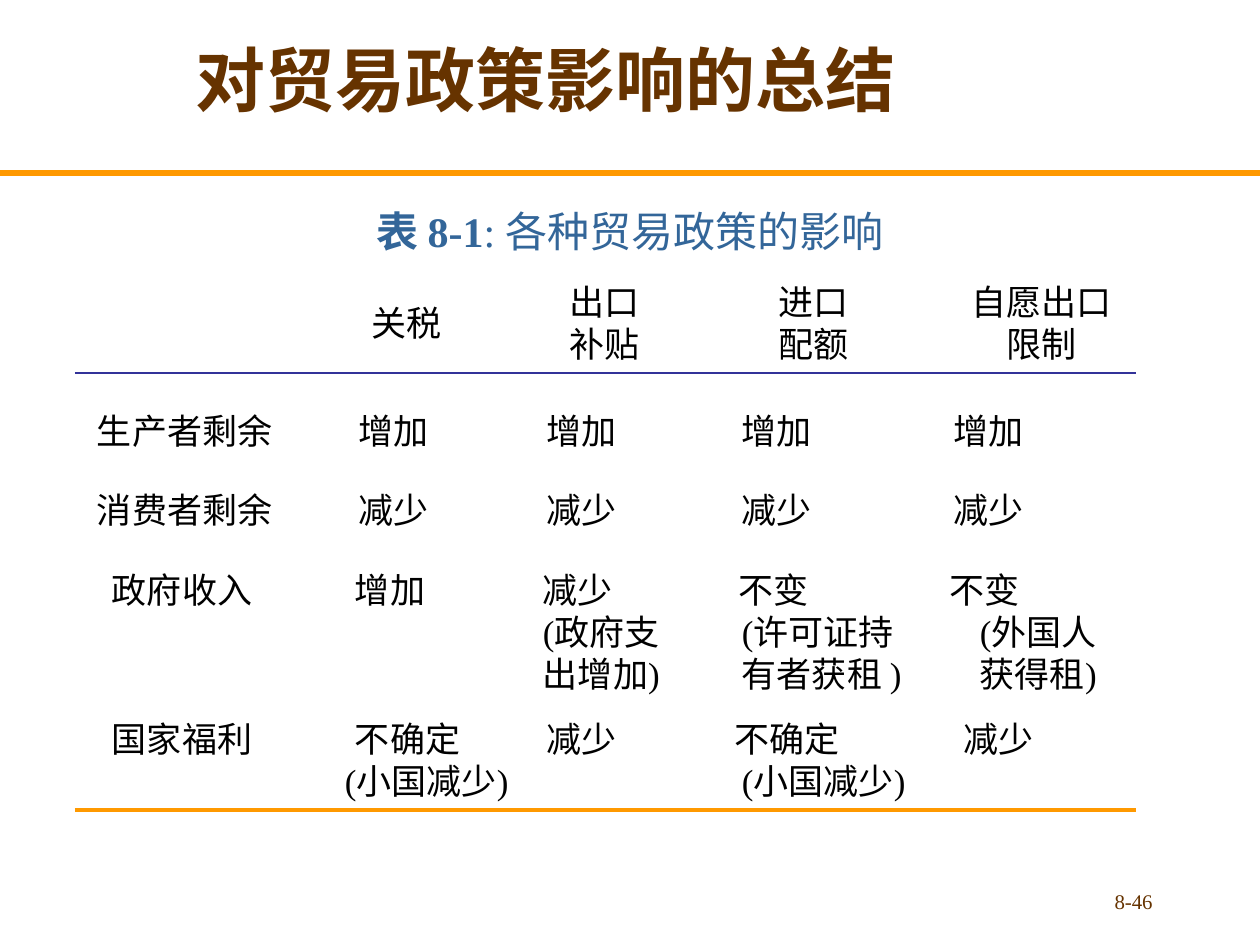
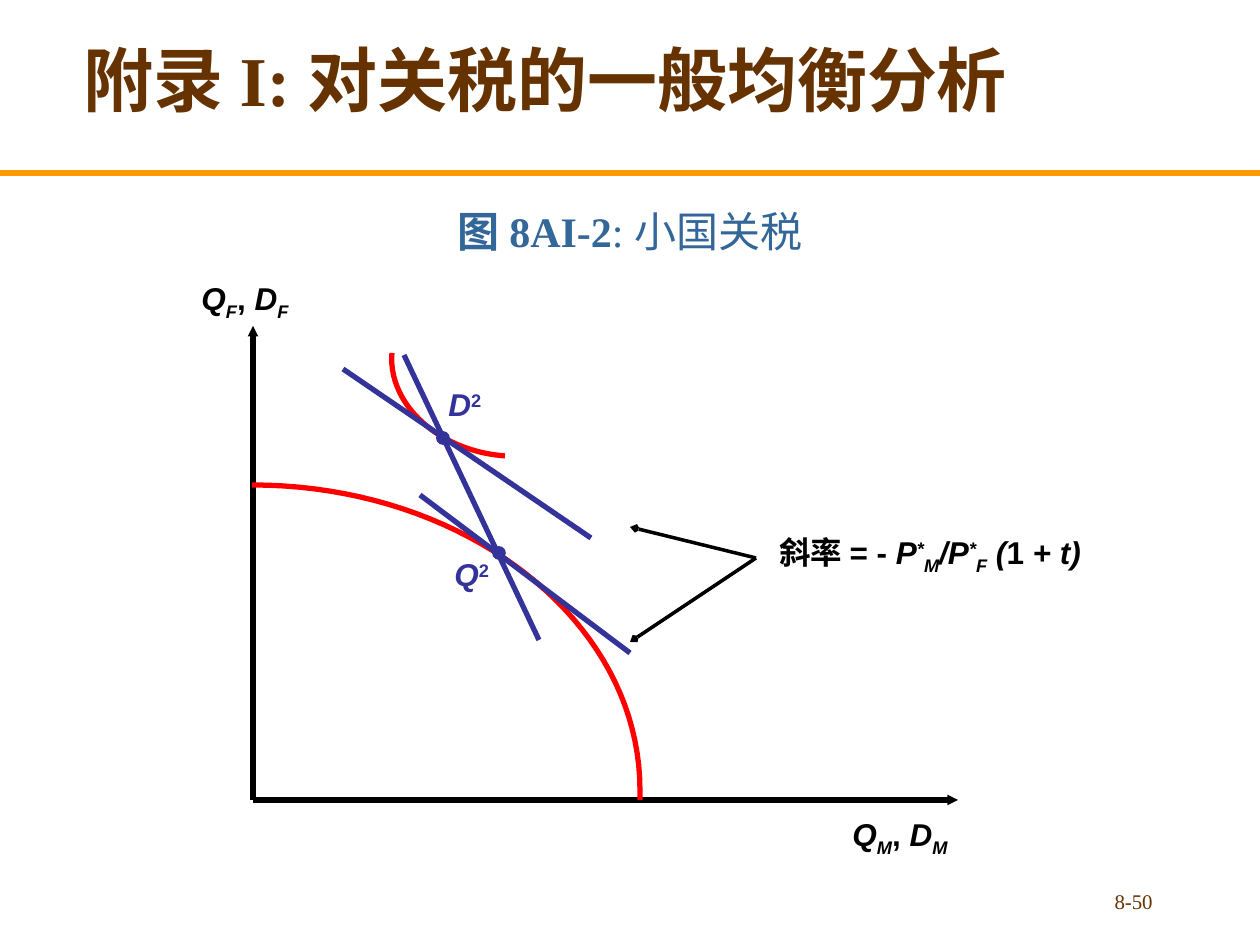
from lxml import etree
from pptx import Presentation, util as u
from pptx.dml.color import RGBColor
from pptx.enum import shapes, text
from pptx.oxml.ns import qn

# Shared look
BROWN = RGBColor(0x66, 0x33, 0x00)
ORANGE = RGBColor(0xFF, 0x99, 0x00)
STEEL = RGBColor(0x33, 0x66, 0x99)
NAVY = RGBColor(0x33, 0x33, 0x99)
RED = RGBColor(0xFF, 0x00, 0x00)
BLACK = RGBColor(0x00, 0x00, 0x00)
SERIF, SANS = "Times New Roman", "Arial"
WIDE, HIGH = 1260, 945
PX = 9144000 / WIDE
LEFT, MID, RIGHT = text.PP_ALIGN.LEFT, text.PP_ALIGN.CENTER, text.PP_ALIGN.RIGHT
TOP, CENTER, BOTTOM = (text.MSO_ANCHOR.TOP, text.MSO_ANCHOR.MIDDLE,
                       text.MSO_ANCHOR.BOTTOM)

# Slide 1: policy table, edges in px
COLS = [75, 335, 530, 728, 945, 1136]
ROWS = [274, 373, 482, 562, 711, 810]
# Heads: text, left and right limit of the text
HEADS = [("关税", 355, 459), ("出口补贴", 553, 657),
         ("进口配额", 762, 866), ("自愿出口限制", 960, 1124)]
# Rows: space above the text, then one list of (line, left) for each cell
BODY = [
    (40, [[("生产者剩余", 97)], [("增加", 359)], [("增加", 547)],
          [("增加", 742)], [("增加", 954)]]),
    (10, [[("消费者剩余", 97)], [("减少", 359)], [("减少", 547)],
          [("减少", 742)], [("减少", 954)]]),
    (10, [[("政府收入", 112)], [("增加", 355)],
          [("减少", 543), ("(政府支出增加)", 543)],
          [("不变", 739), ("(许可证持有者获租 )", 742)],
          [("不变", 950), ("(外国人获得租)", 980)]]),
    (10, [[("国家福利", 112)], [("不确定", 355), ("(小国减少)", 345)],
          [("减少", 547)], [("不确定", 735), ("(小国减少)", 742)],
          [("减少", 964)]]),
]
# Right limit of the text where a note wraps: (row, column)
LIMITS = {(3, 2): 676, (3, 3): 916, (3, 4): 1113}

# Slide 2: labels as (box, colour, runs); run marks: b bold, i italic, ^ up, _ down
LABELS = [
    ((189, 273, 136, 55), BLACK,
     [("Q", "bi"), ("F", "bi_"), (", ", "b"), ("D", "bi"), ("F", "bi_")]),
    ((840, 809, 163, 55), BLACK,
     [("Q", "bi"), ("M", "bi_"), (", ", "b"), ("D", "bi"), ("M", "bi_")]),
    ((442, 549, 65, 50), NAVY, [("Q", "bi"), ("2", "b^")]),
    ((436, 379, 65, 50), NAVY, [("D", "bi"), ("2", "b^")]),
    ((767, 527, 350, 55), BLACK,
     [("斜率 = - ", "b"), ("P", "bi"), ("*", "bi^"), ("M", "bi_"), ("/P", "bi"),
      ("*", "bi^"), ("F", "bi_"), (" (", "bi"), ("1", "b"), (" + t)", "bi")]),
]
AXES = [(253, 326, 253, 800), (958, 800, 253, 800)]
PRICES = [(404, 355, 539, 640), (420, 495, 630, 653), (343, 369, 591, 538)]
POINTERS = [(630, 527, 756, 558), (630, 642, 756, 558)]
POINTS = [(499, 553), (443, 438)]
FRONTIER = [(252, 485), (466, 485), (640, 621), (640, 790)]
TASTE = [(505, 456), (438, 451), (388, 404), (392, 353)]


def px(n):
    return u.Emu(round(n * PX))


def style(run, size, color, face, marks=""):
    font = run.font
    font.size, font.name, font.color.rgb = u.Pt(size), face, color
    font.bold, font.italic = "b" in marks, "i" in marks
    for mark, base in (("^", "30000"), ("_", "-25000")):
        if mark in marks:
            run._r.get_or_add_rPr().set("baseline", base)


def write(slide, box, runs, size, color, face=SERIF, align=LEFT, anchor=TOP):
    frame = slide.shapes.add_textbox(*map(px, box)).text_frame
    frame.word_wrap, frame.vertical_anchor = True, anchor
    para = frame.paragraphs[0]
    para.alignment = align
    for words, marks in runs:
        run = para.add_run()
        run.text = words
        style(run, size, color, face, marks)


def rule(slide, ends, color, width, head=None):
    line = slide.shapes.add_connector(shapes.MSO_CONNECTOR.STRAIGHT, *map(px, ends))
    line.line.color.rgb, line.line.width = color, u.Pt(width)
    if head:
        etree.SubElement(line.line._get_or_add_ln(), qn("a:headEnd"),
                         type=head, w="sm", len="sm")
    etree.SubElement(line._element.spPr, qn("a:effectLst"))


def bezier(ends, steps=40):
    for k in range(steps + 1):
        t = k / steps
        parts = ((1 - t) ** 3, 3 * t * (1 - t) ** 2, 3 * t * t * (1 - t), t ** 3)
        yield tuple(sum(w * p[d] for w, p in zip(parts, ends)) for d in (0, 1))


def curve(slide, dots):
    start, *rest = [(px(x), px(y)) for x, y in dots]
    path = slide.shapes.build_freeform(*start)
    path.add_line_segments(rest, close=False)
    shape = path.convert_to_shape()
    shape.fill.background()
    shape.line.color.rgb, shape.line.width = RED, u.Pt(3)
    shape.shadow.inherit = False


def dot(slide, x, y, size=12):
    box = (x - size / 2, y - size / 2, size, size)
    shape = slide.shapes.add_shape(shapes.MSO_SHAPE.OVAL, *map(px, box))
    shape.fill.solid()
    shape.fill.fore_color.rgb = shape.line.color.rgb = NAVY
    shape.line.width = u.Pt(1)
    shape.shadow.inherit = False


def page(deck, title, label, topic, number):
    slide = deck.slides.add_slide(deck.slide_layouts[6])
    rule(slide, (0, 173, WIDE, 173), ORANGE, 3)
    write(slide, (10, 0, 1071, 156), [(title, "b")], 40, BROWN,
          align=MID, anchor=CENTER)
    write(slide, (0, 178, WIDE, 84), [(label, "b"), (topic, "")], 24, STEEL,
          align=MID, anchor=BOTTOM)
    write(slide, (903, 882, 262, 42), [(number, "")], 11.9, BROWN, align=RIGHT)
    return slide


def fill(cell, col, lines, left, right, top, align=LEFT):
    cell.margin_left, cell.margin_right = px(left - COLS[col]), px(COLS[col + 1] - right)
    cell.margin_top, cell.margin_bottom = px(top), 0
    cell.text_frame.text = "\n".join(words for words, _ in lines)
    for para, (_, x) in zip(cell.text_frame.paragraphs, lines):
        para.alignment, para.line_spacing = align, u.Pt(24)
        para._p.get_or_add_pPr().set("marL", str(px(x - left)))
        for run in para.runs:
            style(run, 20, BLACK, SERIF)


def summary(slide):
    grid = slide.shapes.add_table(
        len(ROWS) - 1, len(COLS) - 1, px(COLS[0]), px(ROWS[0]),
        px(COLS[-1] - COLS[0]), px(ROWS[-1] - ROWS[0])).table
    grid.first_row = grid.horz_banding = False
    for col, a, b in zip(grid.columns, COLS, COLS[1:]):
        col.width = px(b - a)
    for row, a, b in zip(grid.rows, ROWS, ROWS[1:]):
        row.height = px(b - a)
    for cell in grid.iter_cells():
        cell.fill.background()
    # Header, then body
    for c, (words, left, right) in enumerate(HEADS, 1):
        cell = grid.cell(0, c)
        fill(cell, c, [(words, left)], left, right, 4, MID)
        cell.vertical_anchor = CENTER
    for r, (top, cells) in enumerate(BODY, 1):
        for c, lines in enumerate(cells):
            left = min(x for _, x in lines)
            fill(grid.cell(r, c), c, lines, left, LIMITS.get((r, c), COLS[c + 1]), top)
    for y, color, width in ((ROWS[1], NAVY, 1.5), (ROWS[-1], ORANGE, 2.25)):
        rule(slide, (COLS[0], y, COLS[-1], y), color, width)


def tariff(slide):
    for ends in AXES:
        rule(slide, ends, BLACK, 3, "triangle")
    curve(slide, [*bezier(FRONTIER), (640, 800)])
    curve(slide, bezier(TASTE))
    for ends in PRICES:
        rule(slide, ends, NAVY, 3)
    for x, y in POINTS:
        dot(slide, x, y)
    for ends in POINTERS:
        rule(slide, ends, BLACK, 2, "arrow")
    for box, color, runs in LABELS:
        write(slide, box, runs, 18, color, SANS)


def main():
    deck = Presentation()
    deck.slide_width, deck.slide_height = px(WIDE), px(HIGH)
    summary(page(deck, "对贸易政策影响的总结", "表 8-1", ": 各种贸易政策的影响", "8-46"))
    tariff(page(deck, "附录 I: 对关税的一般均衡分析", "图 8AI-2", ": 小国关税", "8-50"))
    deck.save("out.pptx")


if __name__ == "__main__":
    main()
